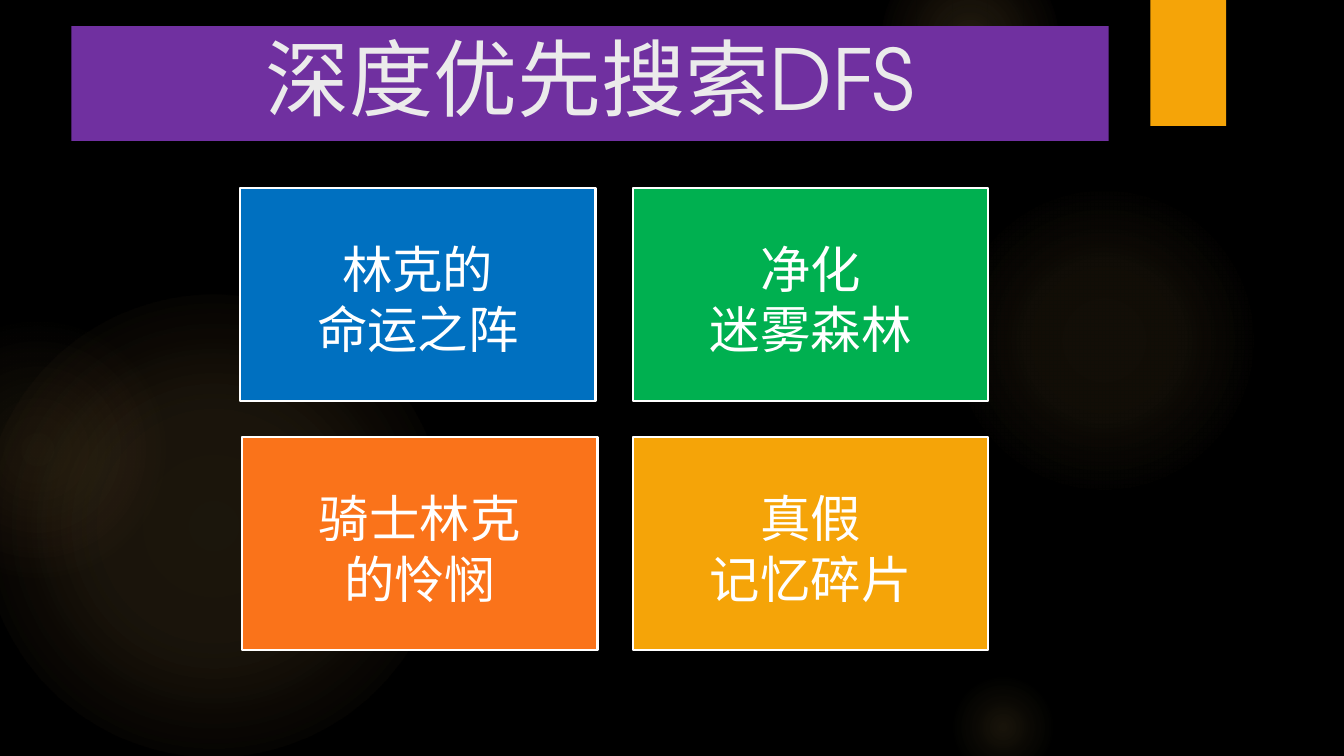
from lxml import etree
from pptx import Presentation
from pptx.dml.color import RGBColor
from pptx.enum.shapes import MSO_SHAPE
from pptx.enum.text import MSO_ANCHOR, MSO_AUTO_SIZE, PP_ALIGN
from pptx.oxml.ns import qn
from pptx.util import Pt

RECTANGLE, OVAL = MSO_SHAPE.RECTANGLE, MSO_SHAPE.OVAL
MIDDLE, CENTER, NO_FIT = MSO_ANCHOR.MIDDLE, PP_ALIGN.CENTER, MSO_AUTO_SIZE.NONE
TITLE_ONLY = 5
LATIN_FONT, CHINESE_FONT = "TeX Gyre Adventor", "Noto Sans CJK SC"
COLORS = {
    "black": "000000", "white": "FFFFFF", "title": "EBEBEB",
    "purple": "7030A0", "blue": "0070C0", "green": "00B050",
    "orange": "FA731A", "amber": "F5A408", "glow": "FAC96A", "blush": "F59B74",
}
GLOWS = [
    (-12.2, 210.2, 330, [(0, "glow", 11), (36, "glow", 10), (75, "glow", 0)]),
    (-66.2, 228.2, 186, [(0, "glow", 8), (36, "glow", 5), (71, "blush", 0)]),
    (677.5, 131.8, 222, [(0, "glow", 7), (36, "glow", 6), (69, "glow", 0)]),
    (630, -36, 126, [(0, "glow", 14), (36, "glow", 7), (73, "glow", 0)]),
    (677.5, 480.2, 78, [(0, "glow", 10), (31, "glow", 5), (66, "glow", 0)]),
]
TILE_WIDTH, TILE_HEIGHT = 254, 152.6
TILE_ROWS = [
    (134, [(171.4, "林克的\n命运之阵", "blue"), (452, "净化\n迷雾森林", "green")]),
    (312, [(172.8, "骑士林克\n的怜悯", "orange"), (452, "真假\v记忆碎片", "amber")]),
]


def rgb(name):
    """Return the named colour."""
    return RGBColor.from_string(COLORS[name])


def fill_solid(shape, color):
    """Fill a shape with one colour."""
    shape.fill.solid()
    shape.fill.fore_color.rgb = rgb(color)


def add_plain_shape(page, kind, left, top, width, height):
    """Add a preset shape without shadow or outline."""
    shape = page.shapes.add_shape(kind, Pt(left), Pt(top), Pt(width), Pt(height))
    shape.shadow.inherit = False
    shape.line.fill.background()
    return shape


def add_glow(page, left, top, size, stops):
    """Add a circle that fades outwards through translucent colour stops."""
    circle = add_plain_shape(page, OVAL, left, top, size, size)
    circle.fill.gradient()
    gradient = circle.element.spPr.find(qn("a:gradFill"))
    for child in list(gradient):
        gradient.remove(child)
    stop_list = etree.SubElement(gradient, qn("a:gsLst"))
    for position, color, opacity in stops:
        stop = etree.SubElement(stop_list, qn("a:gs"), pos=str(position * 1000))
        tint = etree.SubElement(stop, qn("a:srgbClr"), val=COLORS[color])
        etree.SubElement(tint, qn("a:alpha"), val=str(opacity * 1000))
    radial = etree.SubElement(gradient, qn("a:path"), {"path": "circle"})
    etree.SubElement(radial, qn("a:fillToRect"), l="50000", t="50000", r="50000", b="50000")


def set_text(shape, text, size, color, font, spacing, margin):
    """Write centred text in a shape."""
    frame = shape.text_frame
    frame.text = text
    frame.word_wrap = True
    frame.auto_size = NO_FIT
    frame.vertical_anchor = MIDDLE
    frame.margin_left = frame.margin_right = Pt(margin)
    frame.margin_top = frame.margin_bottom = Pt(margin)
    for para in frame.paragraphs:
        para.alignment = CENTER
        para.line_spacing = spacing
        para.space_before = para.space_after = Pt(0)
        for span in para.runs:
            span.font.size = Pt(size)
            span.font.name = font
            span.font.color.rgb = rgb(color)
            latin = span.font._element.find(qn("a:latin"))
            east_asian = etree.Element(qn("a:ea"), typeface=CHINESE_FONT)
            latin.addnext(east_asian)


def add_title(page, text):
    """Move the title placeholder to the front and format it as a banner."""
    title = page.shapes.title
    page.shapes.element.append(title.element)
    title.left, title.top, title.width, title.height = Pt(51), Pt(18.7), Pt(741), Pt(82)
    fill_solid(title, "purple")
    set_text(title, text, 60, "title", LATIN_FONT, 0.9, 0)


def add_tile(page, left, top, text, color):
    """Add a white-edged tile with its label."""
    tile = add_plain_shape(page, RECTANGLE, left, top, TILE_WIDTH, TILE_HEIGHT)
    fill_solid(tile, color)
    tile.line.color.rgb = rgb("white")
    tile.line.width = Pt(1.5)
    set_text(tile, text, 36, "white", CHINESE_FONT, Pt(43), 10.8)
    tile.text_frame.margin_top = Pt(17)


def main():
    """Build and save the slide."""
    deck = Presentation()
    deck.slide_width, deck.slide_height = Pt(960), Pt(540)
    page = deck.slides.add_slide(deck.slide_layouts[TITLE_ONLY])
    fill_solid(page.background, "black")
    for glow in GLOWS:
        add_glow(page, *glow)
    tab = add_plain_shape(page, RECTANGLE, 821.8, 0, 54, 90)
    fill_solid(tab, "amber")
    add_title(page, "深度优先搜索DFS")
    for top, tiles in TILE_ROWS:
        for left, text, color in tiles:
            add_tile(page, left, top, text, color)
    deck.save("out.pptx")


if __name__ == "__main__":
    main()
